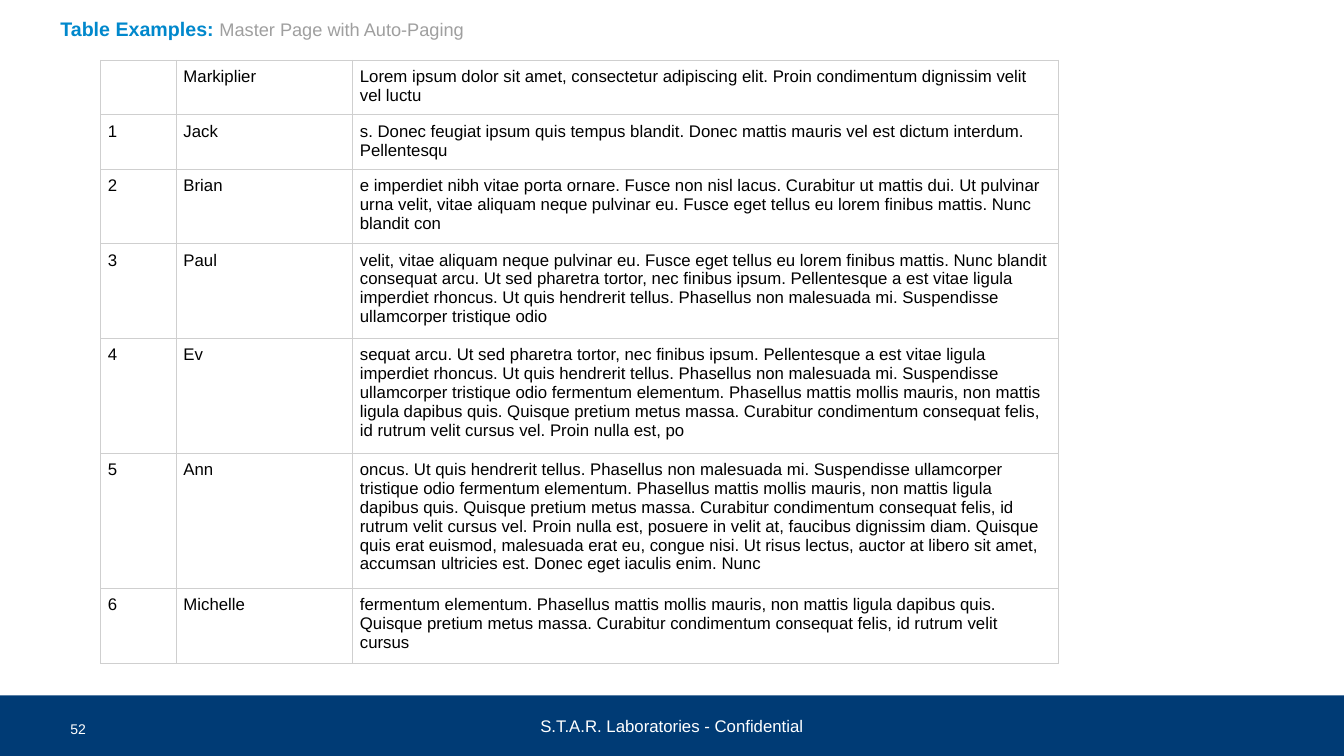
from pptx import Presentation
from pptx.dml.color import RGBColor as RGB
from pptx.enum.shapes import MSO_SHAPE as Shape
from pptx.enum.text import MSO_ANCHOR as Anchor, PP_ALIGN as Align
from pptx.oxml import parse_xml
from pptx.oxml.ns import nsdecls
from pptx.util import Inches, Pt

TITLE = ("Table Examples: ", "Master Page with Auto-Paging")
FOOTER = "S.T.A.R. Laboratories - Confidential"
PAGE = "52"
ROWS = [
    ("", "Markiplier", "Lorem ipsum dolor sit amet, consectetur adipiscing elit. Proin condimentum "
     "dignissim velit vel luctu", 2),
    ("1", "Jack", "s. Donec feugiat ipsum quis tempus blandit. Donec mattis mauris vel est dictum "
     "interdum. Pellentesqu", 2),
    ("2", "Brian", "e imperdiet nibh vitae porta ornare. Fusce non nisl lacus. Curabitur ut mattis "
     "dui. Ut pulvinar urna velit, vitae aliquam neque pulvinar eu. Fusce eget tellus eu lorem "
     "finibus mattis. Nunc blandit con", 3),
    ("3", "Paul", "velit, vitae aliquam neque pulvinar eu. Fusce eget tellus eu lorem finibus mattis. "
     "Nunc blandit consequat arcu. Ut sed pharetra tortor, nec finibus ipsum. Pellentesque a est "
     "vitae ligula imperdiet rhoncus. Ut quis hendrerit tellus. Phasellus non malesuada mi. "
     "Suspendisse ullamcorper tristique odio", 4),
    ("4", "Ev", "sequat arcu. Ut sed pharetra tortor, nec finibus ipsum. Pellentesque a est vitae "
     "ligula imperdiet rhoncus. Ut quis hendrerit tellus. Phasellus non malesuada mi. Suspendisse "
     "ullamcorper tristique odio fermentum elementum. Phasellus mattis mollis mauris, non mattis "
     "ligula dapibus quis. Quisque pretium metus massa. Curabitur condimentum consequat felis, id "
     "rutrum velit cursus vel. Proin nulla est, po", 5),
    ("5", "Ann", "oncus. Ut quis hendrerit tellus. Phasellus non malesuada mi. Suspendisse ullamcorper "
     "tristique odio fermentum elementum. Phasellus mattis mollis mauris, non mattis ligula dapibus "
     "quis. Quisque pretium metus massa. Curabitur condimentum consequat felis, id rutrum velit "
     "cursus vel. Proin nulla est, posuere in velit at, faucibus dignissim diam. Quisque quis erat "
     "euismod, malesuada erat eu, congue nisi. Ut risus lectus, auctor at libero sit amet, accumsan "
     "ultricies est. Donec eget iaculis enim. Nunc", 6),
    ("6", "Michelle", "fermentum elementum. Phasellus mattis mollis mauris, non mattis ligula dapibus "
     "quis. Quisque pretium metus massa. Curabitur condimentum consequat felis, id rutrum velit "
     "cursus", 3),
]
COLORS = {"bar": "003B75", "title": "0088CC", "subtitle": "9F9F9F",
          "border": "CFCFCF", "body": "000000", "light": "FFFFFF"}
WIDTH, HEIGHT = 13.33, 7.5
BAR_HEIGHT = HEIGHT * 0.08
COLUMNS = (0.75, 1.75, 7)
TABLE_LEFT, TABLE_TOP = 1, 0.6
CELL_INSET, LINE_HEIGHT = 0.07, 0.18


def style(font, size, color, bold=False):
    font.name, font.size, font.bold = "Arial", Pt(size), bold
    font.color.rgb = RGB.from_string(COLORS[color])


def add_text(slide, box, anchor):
    frame = slide.shapes.add_textbox(*map(Inches, box)).text_frame
    frame.word_wrap = True
    frame.vertical_anchor = anchor
    return frame.paragraphs[0]


def add_borders(cell):
    properties = cell._tc.get_or_add_tcPr()
    for side in "LRTB":
        properties.append(parse_xml(
            f'<a:ln{side} {nsdecls("a")} w="{Pt(1)}"><a:solidFill>'
            f'<a:srgbClr val="{COLORS["border"]}"/></a:solidFill></a:ln{side}>'))


def add_people_table(slide):
    heights = [2 * CELL_INSET + LINE_HEIGHT * lines for *_, lines in ROWS]
    table = slide.shapes.add_table(
        len(ROWS), len(COLUMNS), Inches(TABLE_LEFT), Inches(TABLE_TOP),
        Inches(sum(COLUMNS)), Inches(sum(heights))).table
    table.first_row = table.horz_banding = False
    for column, width in zip(table.columns, COLUMNS):
        column.width = Inches(width)
    for row, height, values in zip(table.rows, heights, ROWS):
        row.height = Inches(height)
        for cell, value in zip(row.cells, values):
            cell.margin_left = cell.margin_right = Inches(CELL_INSET)
            cell.margin_top = cell.margin_bottom = Inches(CELL_INSET)
            add_borders(cell)
            cell.fill.background()
            cell.text = value
            style(cell.text_frame.paragraphs[0].font, 12, "body")


def main():
    deck = Presentation()
    deck.slide_width, deck.slide_height = Inches(WIDTH), Inches(HEIGHT)
    slide = deck.slides.add_slide(deck.slide_layouts[6])

    bar_box = (0, HEIGHT - BAR_HEIGHT, WIDTH, BAR_HEIGHT)
    bar = slide.shapes.add_shape(Shape.RECTANGLE, *map(Inches, bar_box))
    bar.shadow.inherit = False
    bar.fill.solid()
    bar.fill.fore_color.rgb = RGB.from_string(COLORS["bar"])
    bar.line.fill.background()

    footer = add_text(slide, bar_box, Anchor.MIDDLE)
    footer.text, footer.alignment = FOOTER, Align.CENTER
    style(footer.font, 12, "light")

    title = add_text(slide, (0.5, 0.13, 12, 0.3), Anchor.MIDDLE)
    for text, look in zip(TITLE, ((14, "title", True), (13, "subtitle"))):
        run = title.add_run()
        run.text = text
        style(run.font, *look)

    add_people_table(slide)

    page = add_text(slide, (0.6, 7.1, 0.87, 0.33), Anchor.TOP)
    page.text = PAGE
    style(page.font, 10, "light")

    deck.save("out.pptx")


if __name__ == "__main__":
    main()
